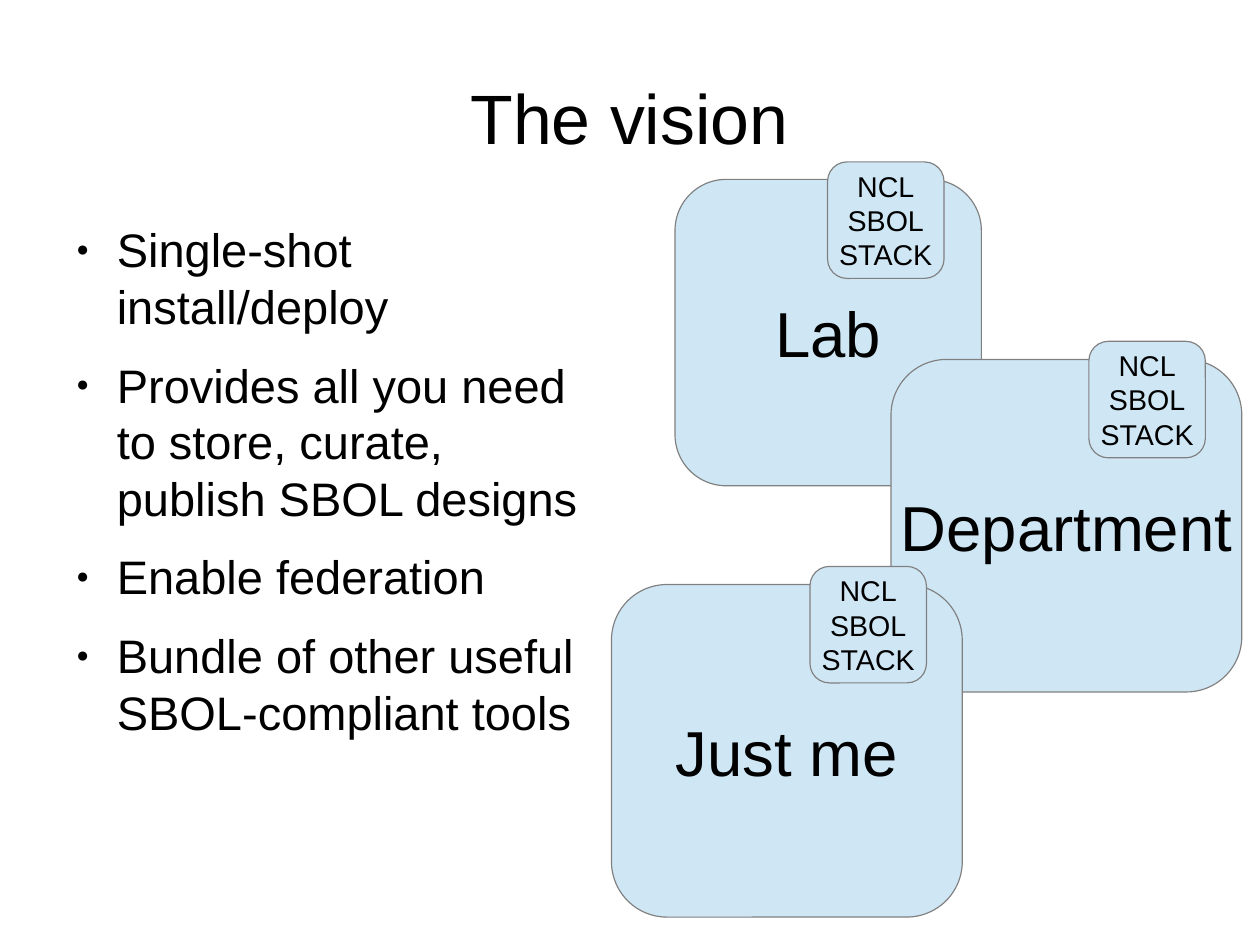
"""Build the slide on the vision for the NCL SBOL stack."""
import pptx
import pptx.dml.color
import pptx.enum.shapes
import pptx.enum.text
import pptx.oxml
import pptx.oxml.ns
import pptx.util
from pptx.util import Pt

COLORS = {"text": "000000", "box": "CFE7F5", "outline": "808080"}
FONT = "Arial"
BADGE_SIZE = 73.4
BULLETS = [
    "Single-shot install/deploy",
    "Provides all you need to store, curate, publish SBOL designs",
    "Enable federation",
    "Bundle of other useful SBOL-compliant tools",
]
SITES = [
    ("Lab", (425.2, 113, 193, 193), (521.3, 102)),
    ("Department", (561.3, 226.4, 221, 209.5), (685.9, 215)),
    ("Just me", (385.2, 368.2, 221, 209.5), (510.2, 356.8)),
]


def format_text(text_frame, size, alignment):
    for paragraph in text_frame.paragraphs:
        paragraph.alignment = alignment
        for run in paragraph.runs:
            run.font.name = FONT
            run.font.size = Pt(size)
            run.font.color.rgb = pptx.dml.color.RGBColor.from_string(COLORS["text"])


def add_box(slide, text, size, left, top, width, height):
    shape = slide.shapes.add_shape(
        pptx.enum.shapes.MSO_SHAPE.ROUNDED_RECTANGLE,
        Pt(left), Pt(top), Pt(width), Pt(height))
    shape.adjustments[0] = 0.167
    shape.shadow.inherit = False
    shape.fill.solid()
    shape.fill.fore_color.rgb = pptx.dml.color.RGBColor.from_string(COLORS["box"])
    shape.line.color.rgb = pptx.dml.color.RGBColor.from_string(COLORS["outline"])
    shape.line.width = Pt(0)
    text_frame = shape.text_frame
    text_frame.word_wrap = False
    text_frame.vertical_anchor = pptx.enum.text.MSO_ANCHOR.MIDDLE
    text_frame.text = text
    format_text(text_frame, size, pptx.enum.text.PP_ALIGN.CENTER)


presentation = pptx.Presentation()
presentation.slide_width = Pt(793.7)
presentation.slide_height = Pt(595.28)
slide = presentation.slides.add_slide(presentation.slide_layouts[1])

title = slide.shapes.title
body = slide.placeholders[1]
for placeholder, (left, top, width, height) in [
    (title, (39.6, 23.8, 714.2, 99.4)),
    (body, (39.6, 139.2, 340.6, 344.9)),
]:
    placeholder.left, placeholder.top = Pt(left), Pt(top)
    placeholder.width, placeholder.height = Pt(width), Pt(height)
    text_frame = placeholder.text_frame
    text_frame.margin_left = text_frame.margin_right = Pt(0)
    text_frame.margin_top = text_frame.margin_bottom = Pt(0)
    text_frame.word_wrap = True
    text_frame.auto_size = pptx.enum.text.MSO_AUTO_SIZE.NONE

title.text_frame.text = "The vision"
title.text_frame.vertical_anchor = pptx.enum.text.MSO_ANCHOR.MIDDLE
format_text(title.text_frame, 44, pptx.enum.text.PP_ALIGN.CENTER)

body.text_frame.text = "\n".join(BULLETS)
body.text_frame.vertical_anchor = pptx.enum.text.MSO_ANCHOR.TOP
namespace = pptx.oxml.ns.nsdecls("a")
for paragraph in body.text_frame.paragraphs:
    properties = paragraph._p.get_or_add_pPr()
    properties.set("marL", str(Pt(34)))
    properties.set("indent", str(Pt(-25.5)))
    for bullet_xml in [
        f'<a:buClr {namespace}><a:srgbClr val="{COLORS["text"]}"/></a:buClr>',
        f'<a:buSzPct {namespace} val="45000"/>',
        f'<a:buFont {namespace} typeface="{FONT}"/>',
        f'<a:buChar {namespace} char="●"/>',
    ]:
        properties.append(pptx.oxml.parse_xml(bullet_xml))
    paragraph.space_before = Pt(0)
    paragraph.space_after = Pt(14.2)
format_text(body.text_frame, 29.6, pptx.enum.text.PP_ALIGN.LEFT)

for name, bounds, badge_position in SITES:
    add_box(slide, name, 40, *bounds)
    add_box(slide, "NCL\nSBOL\nSTACK", 18, *badge_position, BADGE_SIZE, BADGE_SIZE)

presentation.save("out.pptx")
